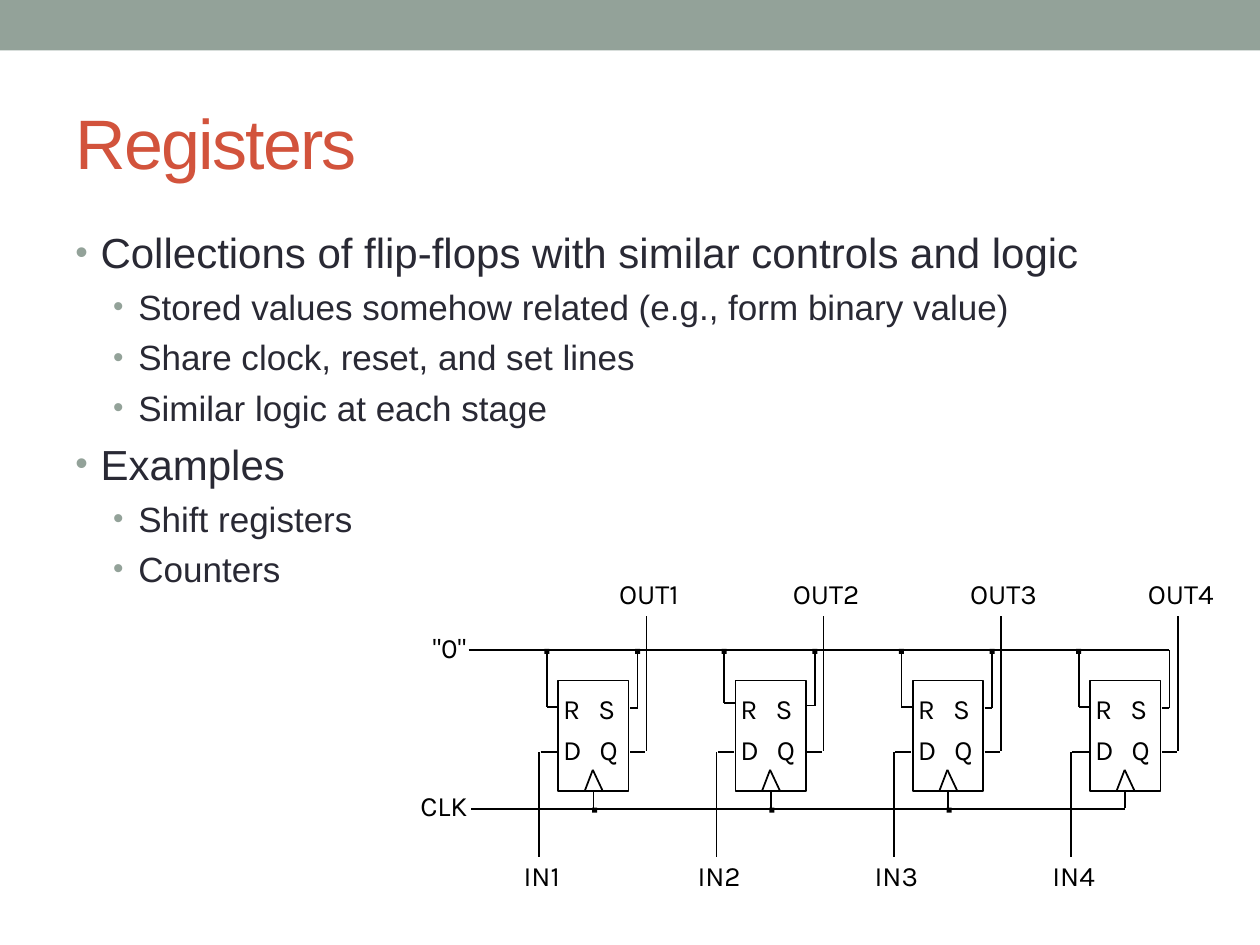
from dataclasses import dataclass
from itertools import pairwise

from lxml.etree import SubElement
from pptx import Presentation
from pptx.dml.color import RGBColor
from pptx.enum.shapes import MSO_CONNECTOR as Connector, MSO_SHAPE as Preset
from pptx.enum.text import MSO_ANCHOR as Anchor, PP_ALIGN as Align
from pptx.oxml.ns import qn
from pptx.util import Inches, Pt

COLUMNS, ROWS = 100, 75
SAGE, RUST, INK, BLACK, WHITE = "93A299", "D2533C", "292934", "000000", "FFFFFF"
STAGE_PITCH, STAGE_COUNT = 14.07, 4
TOPICS = [
    (0, "Collections of flip-flops with similar controls and logic"),
    (1, "Stored values somehow related (e.g., form binary value)"),
    (1, "Share clock, reset, and set lines"),
    (1, "Similar logic at each stage"),
    (0, "Examples"),
    (1, "Shift registers"),
    (1, "Counters"),
]


@dataclass
class Box:
    left: float
    top: float
    width: float
    height: float

    def inner(self, x, y, width, height):
        return Box(self.left + x, self.top + y, width, height)

    def emu(self):
        return [grid(n) for n in (self.left, self.top, self.width, self.height)]


def grid(cells):
    return Inches(cells / 10)


def color(code):
    return RGBColor.from_string(code)


def add_run(paragraph, words, size, code, font="Arial"):
    run = paragraph.add_run()
    run.text = words
    run.font.size = Pt(size)
    run.font.name = font
    run.font.color.rgb = color(code)
    return run


def add_frame(shapes, box):
    frame = shapes.add_textbox(*box.emu()).text_frame
    frame.word_wrap = True
    return frame


def add_block(shapes, box, fill, outline=None):
    block = shapes.add_shape(Preset.RECTANGLE, *box.emu())
    block.shadow.inherit = False
    block.fill.solid()
    block.fill.fore_color.rgb = color(fill)
    if outline:
        block.line.color.rgb = color(outline)
        block.line.width = Pt(1)
    else:
        block.line.fill.background()


def add_wire(shapes, box, x1, y1, x2, y2):
    ends = (box.left + x1, box.top + y1, box.left + x2, box.top + y2)
    wire = shapes.add_connector(Connector.STRAIGHT, *[grid(n) for n in ends])
    wire.line.color.rgb = color(BLACK)
    wire.line.width = Pt(1)
    SubElement(wire._element.spPr, qn("a:effectLst"))


def add_label(shapes, box, words, align=Align.LEFT):
    frame = add_frame(shapes, box)
    frame.margin_left = frame.margin_right = Inches(0.02)
    frame.margin_top = frame.margin_bottom = Inches(0.03)
    paragraph = frame.paragraphs[0]
    paragraph.alignment = align
    paragraph.line_spacing = Pt(16.8)
    add_run(paragraph, words, 16, BLACK, "Karla")


def add_bullet(paragraph, level):
    properties = paragraph._p.get_or_add_pPr()
    properties.set("marL", str(Inches((0.2, 0.5)[level])))
    properties.set("indent", str(Inches(-0.2)))
    tint = SubElement(properties, qn("a:buClr"))
    SubElement(tint, qn("a:srgbClr"), val=SAGE)
    SubElement(properties, qn("a:buSzPct"), val="85000")
    SubElement(properties, qn("a:buFont"), typeface="Arial")
    SubElement(properties, qn("a:buChar"), char="•")


def draw_title(shapes, box):
    frame = add_frame(shapes, box)
    frame.vertical_anchor = Anchor.MIDDLE
    run = add_run(frame.paragraphs[0], "Registers", 40, RUST)
    run.font._element.set("spc", "-100")


def draw_topics(shapes, box):
    frame = add_frame(shapes, box)
    for index, (level, words) in enumerate(TOPICS):
        paragraph = frame.add_paragraph() if index else frame.paragraphs[0]
        size = (24, 20)[level]
        paragraph.level = level
        paragraph.space_before = Pt(size * 0.24)
        add_bullet(paragraph, level)
        add_run(paragraph, words, size, INK)


def draw_stage(shapes, box, number):
    last = number == STAGE_COUNT
    reset_row, set_row = (10, 10.2) if number == 2 else (10.3, 10.4)
    add_block(shapes, box.inner(5.2, 8.2, 5.6, 8.8), WHITE, BLACK)
    for pin, x, y in [("R", 5.4, 9.1), ("S", 8.2, 9.1), ("D", 5.4, 12.4), ("Q", 8.3, 12.4)]:
        add_label(shapes, box.inner(x, y, 2.7, 3.7), pin)
    add_label(shapes, box.inner(8.5, 0, 7.8, 3.7), f"OUT{number}", Align.CENTER)
    add_label(shapes, box.inner(0, 22.4, 7.8, 3.7), f"IN{number}", Align.CENTER)
    wires = [
        (7.3, 17, 7.95, 15.3), (8.75, 17, 7.95, 15.3), (8, 17, 8, 18.3),
        (3.8, 13.9, 5.1, 13.9), (3.7, 13.9, 3.7, 22.2),
        (10.9, 13.9, 12.1, 13.9), (12.2, 3.1, 12.2, 13.8),
        (5.2, reset_row, 4.3, reset_row), (4.3, reset_row, 4.3, 5.8),
        (10.9, set_row, 11.5, set_row), (11.5, set_row, 11.5, 5.8),
    ]
    for ends in wires:
        add_wire(shapes, box, *ends)
    shared_dots = [] if last else [(7.9, 18.3), (11.3, 5.7)]
    for x, y in [(4.1, 5.7)] + shared_dots:
        add_block(shapes, box.inner(x, y, 0.4, 0.4), BLACK)


def draw_register(shapes, box):
    first_stage = 7.4
    for index in range(STAGE_COUNT):
        stage = box.inner(first_stage + index * STAGE_PITCH, 0, 16.3, box.height)
        draw_stage(shapes, stage, index + 1)
    add_wire(shapes, box, 5.5, 5.8, 61.1, 5.8)
    taps = [first_stage + 8 + index * STAGE_PITCH for index in range(STAGE_COUNT)]
    for start, end in pairwise([5.7] + taps):
        add_wire(shapes, box, start, 18.4, end, 18.4)
    add_label(shapes, box.inner(0, 4.3, 5.5, 3.7), '"0"', Align.RIGHT)
    add_label(shapes, box.inner(0.1, 16.8, 5.5, 3.7), "CLK", Align.RIGHT)


def main():
    deck = Presentation()
    deck.slide_width, deck.slide_height = grid(COLUMNS), grid(ROWS)
    slide = deck.slides.add_slide(deck.slide_layouts[6])
    add_block(slide.shapes, Box(0, 0, COLUMNS, 4), SAGE)
    draw_register(slide.shapes.add_group_shape().shapes, Box(31.7, 45.8, 65.9, 26.1))
    draw_title(slide.shapes, Box(5, 5.8, 90, 10.8))
    draw_topics(slide.shapes, Box(5, 17.5, 90, 53.3))
    deck.save("out.pptx")


if __name__ == "__main__":
    main()
